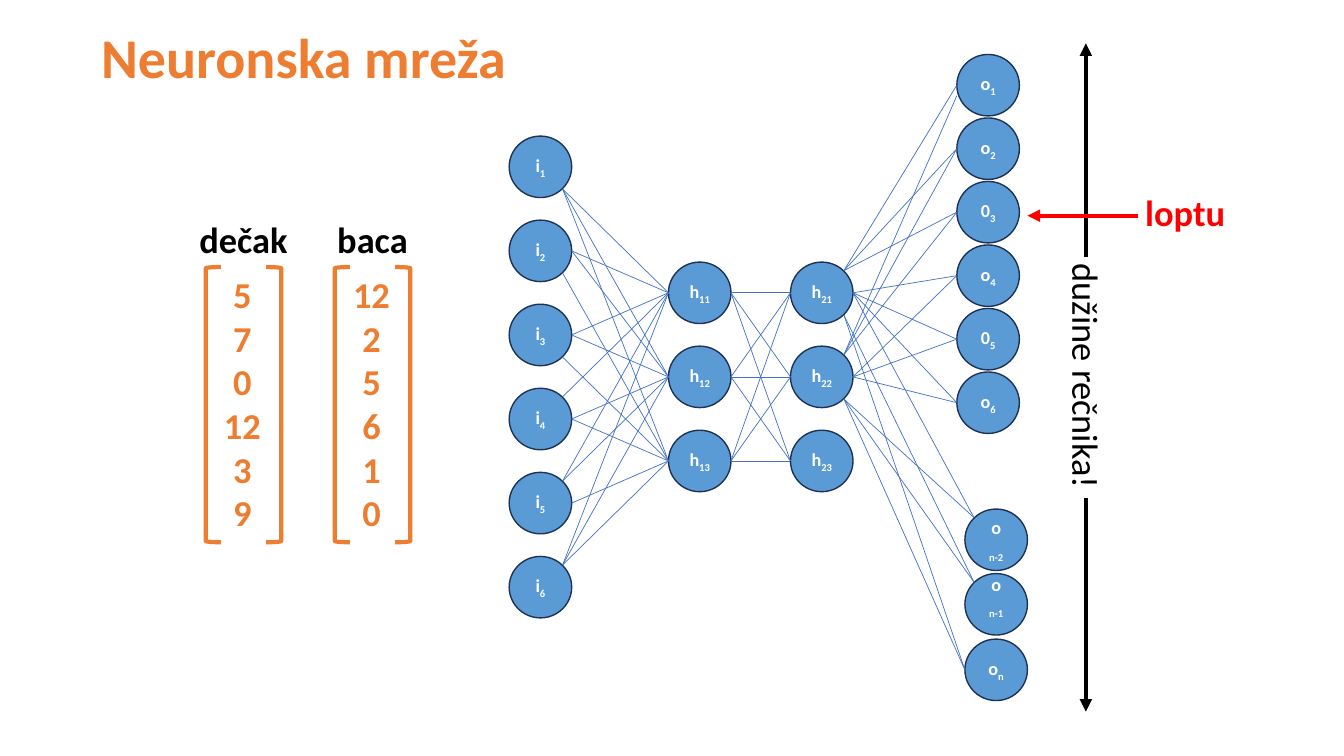
"""Build a slide of a neural network that predicts the next word."""
from dataclasses import dataclass

import lxml.etree
import pptx
import pptx.dml.color
import pptx.enum.shapes
import pptx.enum.text
import pptx.oxml.ns
import pptx.slide
import pptx.util

Inches = pptx.util.Inches
RGBColor = pptx.dml.color.RGBColor
Shape = pptx.enum.shapes.MSO_SHAPE
Align = pptx.enum.text.PP_ALIGN

ORANGE = RGBColor(0xED, 0x7D, 0x31)
BLACK = RGBColor(0, 0, 0)
WHITE = RGBColor(0xFF, 0xFF, 0xFF)
RED = RGBColor(0xFF, 0, 0)
FILL = RGBColor(0x5B, 0x9B, 0xD5)
EDGE = RGBColor(0x1E, 0x32, 0x56)
BLUE = RGBColor(0x44, 0x72, 0xC4)

Point = tuple[float, float]
WIDE, HIGH = 0.62, 0.61
SITES = {"u": (0.22, -0.22), "r": (0.31, 0), "d": (0.22, 0.22),
         "l": (-0.31, 0), "a": (-0.22, -0.22)}


@dataclass
class Node:
    left: float
    top: float
    name: str
    sub: str
    split: bool = False
    lift: float = 0

    def site(self, code: str) -> Point:
        """Give the point on the rim for a site code."""
        dx, dy = SITES[code]
        return self.left + WIDE / 2 + dx, self.top + HIGH / 2 + dy


@dataclass
class Label:
    box: tuple[float, float, float, float]
    lines: list[str]
    color: RGBColor
    size: int = 26
    bold: bool = True
    turn: int = 0


@dataclass
class Vector:
    left: float
    word: str
    values: list[str]


def style(para, size: int, color: RGBColor, bold: bool) -> None:
    """Set the font of a paragraph."""
    para.font.name = "Calibri"
    para.font.size = pptx.util.Pt(size)
    para.font.bold = bold
    para.font.color.rgb = color


def write(slide: pptx.slide.Slide, label: Label) -> None:
    """Draw a text label."""
    box = slide.shapes.add_textbox(*map(Inches, label.box))
    box.rotation = label.turn
    frame = box.text_frame
    frame.word_wrap = not label.turn
    frame.text = "\n".join(label.lines)
    for para in frame.paragraphs:
        para.alignment = Align.LEFT if label.turn else Align.CENTER
        style(para, label.size, label.color, label.bold)


def join(slide: pptx.slide.Slide, start: Point, end: Point,
         color: RGBColor = BLUE, width: float = 0.5, head: bool = False) -> None:
    """Draw a line, with an arrowhead at its end on request."""
    kind = pptx.enum.shapes.MSO_CONNECTOR.STRAIGHT
    line = slide.shapes.add_connector(kind, *map(Inches, start + end))
    line.line.color.rgb = color
    line.line.width = pptx.util.Pt(width)
    qn = pptx.oxml.ns.qn
    props = line._element.spPr
    if head:
        lxml.etree.SubElement(props.find(qn("a:ln")), qn("a:tailEnd"), type="triangle")
    lxml.etree.SubElement(props, qn("a:effectLst"))


def draw(slide: pptx.slide.Slide, node: Node) -> None:
    """Draw a neuron with its subscripted name."""
    oval = slide.shapes.add_shape(Shape.OVAL, *map(Inches, (node.left, node.top, WIDE, HIGH)))
    oval.shadow.inherit = False
    oval.fill.solid()
    oval.fill.fore_color.rgb = FILL
    oval.line.color.rgb = EDGE
    oval.line.width = pptx.util.Pt(1)
    frame = oval.text_frame
    frame.vertical_anchor = pptx.enum.text.MSO_ANCHOR.MIDDLE
    frame.margin_bottom = Inches(0.05 + node.lift)
    para = frame.paragraphs[0]
    para.alignment = Align.CENTER
    style(para, 13, WHITE, True)
    para.add_run().text = node.name
    if node.split:
        para.add_line_break()
    sub = para.add_run()
    sub.text = node.sub
    sub._r.get_or_add_rPr().set("baseline", "-25000")


def embed(slide: pptx.slide.Slide, item: Vector) -> None:
    """Draw a word above its bracketed vector."""
    left = item.left
    write(slide, Label((left - 0.37, 2.11, 1.49, 0.54), [item.word], BLACK))
    write(slide, Label((left + 0.04, 2.65, 0.65, 2.73), item.values, ORANGE))
    for x, flip in ((left, False), (left + 0.6, True)):
        mark = slide.shapes.add_shape(
            Shape.LEFT_BRACKET, *map(Inches, (x, 2.65, 0.15, 2.73)))
        mark.shadow.inherit = False
        mark.fill.background()
        mark.line.color.rgb = ORANGE
        mark.line.width = pptx.util.Pt(3)
        if flip:
            mark._element.spPr.xfrm.set("flipH", "1")


def main() -> None:
    """Build and save the slide."""
    deck = pptx.Presentation()
    deck.slide_width, deck.slide_height = Inches(13.33), Inches(7.5)
    slide = deck.slides.add_slide(deck.slide_layouts[6])

    for item in (Vector(2.04, "dečak", ["5", "7", "0", "12", "3", "9"]),
                 Vector(3.32, "baca", ["12", "2", "5", "6", "1", "0"])):
        embed(slide, item)

    step = 0.834
    inputs = [Node(5.05, 1.35 + step * k, "i", str(k + 1)) for k in range(6)]
    first, second = (
        [Node(left, 2.6 + step * k, "h", f"{layer}{k + 1}") for k in range(3)]
        for layer, left in ((1, 6.63), (2, 7.84)))
    outs = [Node(9.49, 0.54 + 0.63 * k, name, str(k + 1))
            for k, name in enumerate("oo0o0o")]
    outs += [Node(9.57, 5.05, "o", "n-2", True),
             Node(9.57, 5.69, "o", "n-1", True, 0.15),
             Node(9.57, 6.34, "o", "n")]
    for node in inputs + first + second + outs:
        draw(slide, node)

    for goal, codes in zip(first, ("drruuu", "drrruu", "dddrru")):
        for node, code in zip(inputs, codes):
            join(slide, node.site(code), goal.site("l"))
    for node in first:
        for goal in second:
            join(slide, node.site("r"), goal.site("l"))
    tips = [node.site(code) for node, code in zip(outs, "llllllaal")]
    fans = (("uuurrrrdd", tips), ("uuurrrddd", [(9.49, 0.95)] + tips[1:]))
    for node, (codes, ends) in zip(second, fans):
        for code, end in zip(codes, ends):
            join(slide, node.site(code), end)

    for start, end in ((2.55, 0.43), (4.94, 7.06)):
        join(slide, (10.77, start), (10.77, end), BLACK, 3, True)
    join(slide, (11.29, 2.14), (10.19, 2.14), RED, 3, True)
    for label in (
            Label((9.55, 3.47, 2.45, 0.54), ["dužine rečnika!"], BLACK, bold=False, turn=90),
            Label((11.01, 1.84, 1.49, 0.54), ["loptu"], RED),
            Label((0.52, 0.17, 4.98, 0.77), ["Neuronska mreža"], ORANGE, 40)):
        write(slide, label)
    deck.save("out.pptx")


if __name__ == "__main__":
    main()
